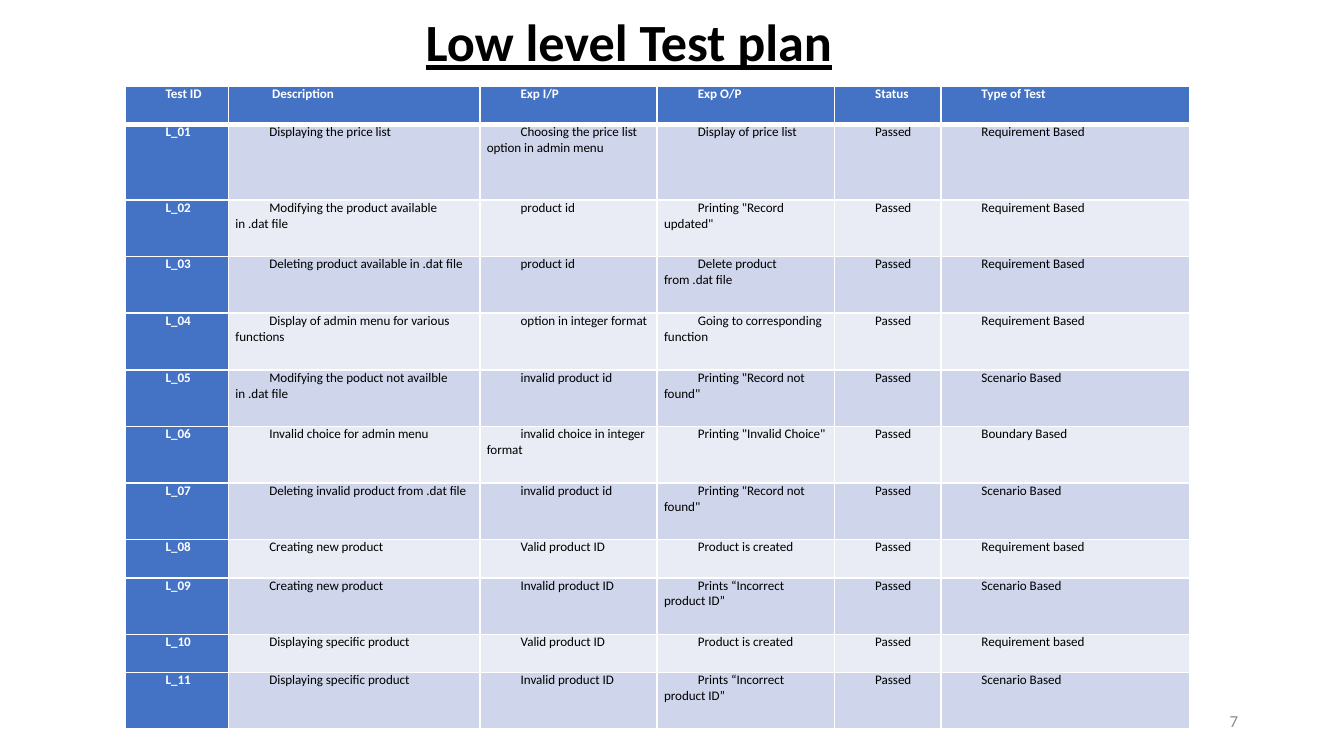
from dataclasses import dataclass

from lxml import etree
from pptx import Presentation
from pptx.dml.color import RGBColor
from pptx.enum.text import MSO_ANCHOR, MSO_AUTO_SIZE, PP_ALIGN
from pptx.oxml.ns import qn
from pptx.util import Cm, Pt

LEFT, RIGHT = PP_ALIGN.LEFT, PP_ALIGN.RIGHT
TOP, MIDDLE = MSO_ANCHOR.TOP, MSO_ANCHOR.MIDDLE
NO_FIT = MSO_AUTO_SIZE.NONE


@dataclass(frozen=True)
class Theme:
    font: str = "Calibri"
    black: str = "000000"
    white: str = "FFFFFF"
    grey: str = "8C8C8C"
    blue: str = "4472C4"
    bands: tuple = ("CFD5EA", "E9EBF5")
    head: float = 28
    body: float = 7
    foot: float = 9
    thin: float = 1
    thick: float = 3


# Table content
HEADS = ["Test ID", " Description", "Exp I/P", "Exp O/P", "Status", "Type of Test"]
TESTS = [
    ("Displaying the price list", "Choosing the price list option in admin menu",
     "Display of price list", "Requirement Based"),
    ("Modifying the product available in .dat file", "product id",
     'Printing "Record updated"', "Requirement Based"),
    ("Deleting product available in .dat file", "product id",
     "Delete product from .dat file", "Requirement Based"),
    ("Display of admin menu for various functions", "option in integer format",
     "Going to corresponding function", "Requirement Based"),
    ("Modifying the poduct not availble in .dat file", "invalid product id",
     'Printing "Record not found"', "Scenario Based"),
    ("Invalid choice for admin menu", "invalid choice in integer format",
     'Printing "Invalid Choice"', "Boundary Based"),
    ("Deleting invalid product from .dat file", "invalid product id",
     'Printing "Record not found"', "Scenario Based"),
    ("Creating new product", "Valid product ID",
     "Product is created", "Requirement based"),
    ("Creating new product", "Invalid product ID",
     "Prints “Incorrect product ID”", "Scenario Based"),
    ("Displaying specific product", "Valid product ID",
     "Product is created", "Requirement based"),
    ("Displaying specific product", "Invalid product ID",
     "Prints “Incorrect product ID”", "Scenario Based"),
]
COLS = [1.96, 4.75, 3.35, 3.35, 2.01, 4.7]
LOW, MID, HIGH = 0.72, 1.07, 1.43
ROWS = [LOW, HIGH] + [MID] * 6 + [LOW, MID] * 2


class Deck:
    def __init__(self, theme, wide, high):
        self.theme = theme
        self.prs = Presentation()
        self.prs.slide_width, self.prs.slide_height = Cm(wide), Cm(high)
        self.slide = self.prs.slides.add_slide(self.prs.slide_layouts[5])

    def add_text(self, para, text, size, color, bold=False, line=False):
        run = para.add_run()
        run.text = text
        font = run.font
        font.name, font.size = self.theme.font, Pt(size)
        font.bold, font.underline = bold, line
        font.color.rgb = RGBColor.from_string(color)

    def indent(self, para, left, first):
        props = para._p.get_or_add_pPr()
        props.set("marL", str(Cm(left)))
        props.set("indent", str(Cm(first)))

    def title(self, text, x, y, w, h, left):
        box = self.slide.shapes.title
        box.left, box.top, box.width, box.height = Cm(x), Cm(y), Cm(w), Cm(h)
        frame = box.text_frame
        frame.auto_size, frame.vertical_anchor = NO_FIT, MIDDLE
        para = frame.paragraphs[0]
        para.alignment, para.line_spacing = LEFT, 0.9
        self.indent(para, left, 0)
        self.add_text(para, text, self.theme.head, self.theme.black, True, True)

    def label(self, text, x, y, w, h):
        box = self.slide.shapes.add_textbox(Cm(x), Cm(y), Cm(w), Cm(h))
        frame = box.text_frame
        frame.word_wrap, frame.vertical_anchor = True, MIDDLE
        para = frame.paragraphs[0]
        para.alignment = RIGHT
        self.add_text(para, text, self.theme.foot, self.theme.grey)

    def border(self, cell, sides):
        props = cell._tc.get_or_add_tcPr()
        for spot, (side, width) in enumerate(sides.items()):
            line = etree.Element(qn(f"a:ln{side}"), w=str(Pt(width)))
            fill = etree.SubElement(line, qn("a:solidFill"))
            etree.SubElement(fill, qn("a:srgbClr"), val=self.theme.white)
            props.insert(spot, line)

    def cell(self, cell, text, fill, color, bold, sides):
        cell.margin_left = cell.margin_right = Cm(0.13)
        cell.margin_top = cell.margin_bottom = 0
        cell.vertical_anchor = TOP
        cell.fill.solid()
        cell.fill.fore_color.rgb = RGBColor.from_string(fill)
        self.border(cell, sides)
        para = cell.text_frame.paragraphs[0]
        self.indent(para, 0, 0.64)
        self.add_text(para, text, self.theme.body, color, bold)

    def table(self, data, x, y, cols, rows):
        look = self.theme
        grid = self.slide.shapes.add_table(
            len(rows), len(cols), Cm(x), Cm(y), Cm(sum(cols)), Cm(sum(rows))).table
        for col, width in zip(grid.columns, cols):
            col.width = Cm(width)
        for r, (row, high) in enumerate(zip(data, rows)):
            grid.rows[r].height = Cm(high)
            # The rule under the header is heavier than the rest
            sides = dict.fromkeys("LRTB", look.thin)
            if r == 0:
                sides["B"] = look.thick
            elif r == 1:
                sides["T"] = look.thick
            for c, text in enumerate(row):
                key = r == 0 or c == 0
                fill = look.blue if key else look.bands[(r - 1) % 2]
                color = look.white if key else look.black
                self.cell(grid.cell(r, c), text, fill, color, key, sides)


def main():
    deck = Deck(Theme(), 25.4, 14.29)

    # Title
    deck.title("Low level Test plan", 1.75, -1.4, 21.9, 4.5, 6.04)

    # Test table: every test is numbered and passed
    data = [HEADS]
    for num, (what, given, out, kind) in enumerate(TESTS, 1):
        data.append([f"L_{num:02}", what, given, out, "Passed", kind])
    deck.table(data, 2.36, 1.63, COLS, ROWS)

    # Page number
    deck.label("7", 17.93, 13.24, 5.72, 0.76)

    deck.prs.save("out.pptx")


if __name__ == "__main__":
    main()
